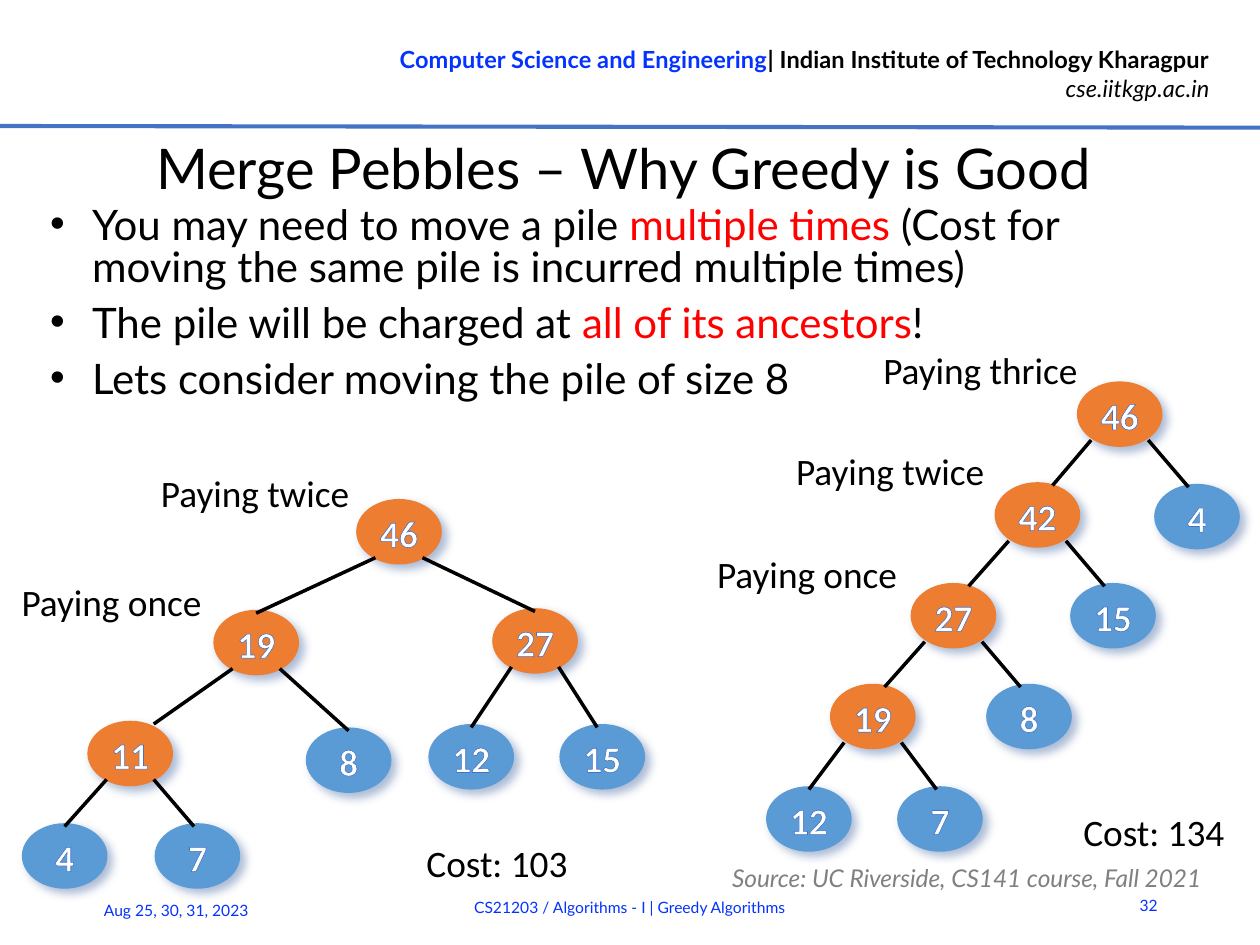
from lxml import etree
from pptx import Presentation
from pptx.dml.color import RGBColor
from pptx.enum.shapes import MSO_CONNECTOR, MSO_SHAPE
from pptx.enum.text import MSO_ANCHOR, PP_ALIGN
from pptx.oxml.ns import qn
from pptx.util import Inches, Pt

LEFT, CENTER, RIGHT = PP_ALIGN.LEFT, PP_ALIGN.CENTER, PP_ALIGN.RIGHT
TOP, MIDDLE = MSO_ANCHOR.TOP, MSO_ANCHOR.MIDDLE
OVAL, STRAIGHT = MSO_SHAPE.OVAL, MSO_CONNECTOR.STRAIGHT

BLACK, WHITE, RED, GRAY = "000000", "FFFFFF", "FF0000", "808080"
HEADER_BLUE, RULE_BLUE, SHADOW_BLUE = "0432FF", "4472C4", "2F5597"
MERGED, PILE = "ED7D31", "5B9BD5"

HEADER = [
    [("Computer Science and Engineering", HEADER_BLUE, "b"),
     ("| Indian Institute of Technology Kharagpur", BLACK, "b")],
    [("cse.iitkgp.ac.in", BLACK, "i")],
]
TITLE = [[("Merge Pebbles – Why Greedy is Good", BLACK, "")]]
BULLETS = [
    [("You may need to move a pile ", BLACK, ""), ("multiple times", RED, ""),
     (" (Cost for moving the same pile is incurred multiple times)", BLACK, "")],
    [("The pile will be charged at ", BLACK, ""), ("all of its ancestors", RED, ""),
     ("!", BLACK, "")],
    [("Lets consider moving the pile of size 8", BLACK, "")],
]
SOURCE = [[("Source: UC Riverside, CS141 course, Fall 2021", GRAY, "i")]]
DATE = [[("Aug 25, 30, 31, 2023", HEADER_BLUE, "")]]
COURSE = [[("CS21203 / Algorithms - I | Greedy Algorithms", HEADER_BLUE, "")]]
PAGE = [[("32", HEADER_BLUE, "")]]
HEADER_SIZE, FOOTER_SIZE = 10.13, 6.75

CAPTIONS = [
    ("Cost: 103", 2.44, 4.95, 1.05),
    ("Cost: 134", 6.35, 4.77, 1.05),
    ("Paying once", 0.03, 3.4, 1.29),
    ("Paying twice", 0.86, 2.75, 1.34),
    ("Paying once", 4.17, 3.23, 1.29),
    ("Paying twice", 4.64, 2.62, 1.34),
    ("Paying thrice", 5.16, 2.02, 1.37),
]

# (size, left, top, shift of the incoming edge, children)
GREEDY_TREE = ("46", 2.12, 2.97, 0, [
    ("19", 1.27, 3.63, 0, [
        ("11", 0.52, 4.29, 0.14, [("4", 0.13, 4.9, 0, []), ("7", 0.92, 4.9, -0.02, [])]),
        ("8", 1.82, 4.33, 0, [])]),
    ("27", 2.93, 3.62, 0, [("12", 2.55, 4.31, 0, []), ("15", 3.33, 4.31, -0.03, [])]),
])
CHAIN_TREE = ("46", 6.41, 2.27, 0, [
    ("42", 5.92, 2.87, 0.09, [
        ("27", 5.42, 3.47, 0.09, [
            ("19", 4.94, 4.07, 0.07, [("12", 4.56, 4.68, 0, []), ("7", 5.34, 4.68, -0.02, [])]),
            ("8", 5.87, 4.07, -0.05, [])]),
        ("15", 6.37, 3.47, -0.05, [])]),
    ("4", 6.87, 2.88, -0.05, []),
])
NODE_W, NODE_H = 0.51, 0.39
GREEDY_SPREAD, CHAIN_SPREAD = 0.14, 0.17
EDGE_DROP, EDGE_OVERLAP = 0.35, 0.02

prs = Presentation()
prs.slide_width = Inches(7.5)
prs.slide_height = prs.slide_width * 3 // 4
slide = prs.slides.add_slide(prs.slide_layouts[6])


def color(hex_code):
    return RGBColor.from_string(hex_code)


def add_element(parent, tag, **attributes):
    return etree.SubElement(parent, qn(tag), attributes)


def add_text(content, at, size, font="Lato", align=LEFT, anchor=TOP, wrap=True,
             insets=(0.1, 0.05), bullets=False, line_pt=None):
    frame = slide.shapes.add_textbox(*map(Inches, at)).text_frame
    frame.word_wrap, frame.vertical_anchor = wrap, anchor
    frame.margin_left = frame.margin_right = Inches(insets[0])
    frame.margin_top = frame.margin_bottom = Inches(insets[1])
    for index, line in enumerate(content):
        paragraph = frame.add_paragraph() if index else frame.paragraphs[0]
        paragraph.alignment = align
        if line_pt:
            paragraph.line_spacing = Pt(line_pt)
            paragraph.space_before = Pt(3 if index else 0)
            paragraph.space_after = Pt(3)
        if bullets:
            properties = paragraph._p.get_or_add_pPr()
            properties.set("marL", str(Inches(0.25)))
            properties.set("indent", str(-Inches(0.25)))
            add_element(properties, "a:buFont", typeface="Arial")
            add_element(properties, "a:buChar", char="•")
        for words, ink, style in line:
            run = paragraph.add_run()
            run.text = words
            run.font.name, run.font.size = font, Pt(size)
            run.font.bold, run.font.italic = style == "b", style == "i"
            run.font.color.rgb = color(ink)


def add_line(x1, y1, x2, y2, ink, width):
    line = slide.shapes.add_connector(STRAIGHT, *map(Inches, (x1, y1, x2, y2)))
    line.line.color.rgb, line.line.width = color(ink), Pt(width)
    add_element(line._element.spPr, "a:effectLst")


def add_node(size, left, top, fill):
    node = slide.shapes.add_shape(OVAL, *map(Inches, (left, top, NODE_W, NODE_H)))
    node.fill.solid()
    node.fill.fore_color.rgb = color(fill)
    node.line.fill.background()
    node.shadow.inherit = False
    effects = node._element.spPr.find(qn("a:effectLst"))
    shadow = add_element(effects, "a:outerShdw", blurRad=str(Pt(4)), dist=str(Pt(3)),
                         dir="2700000", algn="tl", rotWithShape="0")
    add_element(add_element(shadow, "a:srgbClr", val=SHADOW_BLUE), "a:alpha", val="40000")
    frame = node.text_frame
    frame.text = size
    frame.word_wrap, frame.vertical_anchor = False, MIDDLE
    frame.margin_left = frame.margin_right = frame.margin_bottom = 0
    frame.margin_top = Inches(0.01)
    frame.paragraphs[0].alignment = CENTER
    run = frame.paragraphs[0].runs[0]
    run.font.name, run.font.size, run.font.bold = "Calibri", Pt(16), True
    run.font.color.rgb = color(WHITE)
    properties = run._r.get_or_add_rPr()
    outline = add_element(properties, "a:ln", w=str(Pt(0.8)))
    add_element(add_element(outline, "a:solidFill"), "a:srgbClr", val=RULE_BLUE)
    properties.insert(0, outline)


def add_tree(tree, spread):
    size, left, top, _, children = tree
    for child in children:
        add_tree(child, spread)
    add_node(size, left, top, MERGED if children else PILE)
    for side, (_, child_left, child_top, shift, _) in zip((-1, 1), children):
        add_line(left + NODE_W / 2 + side * spread, top + EDGE_DROP,
                 child_left + NODE_W / 2 + shift, child_top + EDGE_OVERLAP, BLACK, 1.5)


add_text(HEADER, (1.91, 0.22, 5.39, 0.44), HEADER_SIZE, align=RIGHT, wrap=False)
add_line(0, 0.75, 7.5, 0.76, RULE_BLUE, 1.75)
add_text(PAGE, (6.62, 5.24, 0.37, 0.3), FOOTER_SIZE, align=RIGHT, anchor=MIDDLE)
add_text(TITLE, (0.24, 0.79, 6.94, 0.41), 24, align=CENTER, anchor=MIDDLE, insets=(0, 0.01))
add_text(DATE, (0.52, 5.33, 1.31, 0.3), FOOTER_SIZE, insets=(0.1, 0.03))
add_text(COURSE, (1.24, 5.25, 5.02, 0.3), FOOTER_SIZE, align=CENTER, anchor=MIDDLE)
add_text(BULLETS, (0.2, 1.18, 7.03, 4.05), 18, bullets=True, line_pt=18)
add_text(SOURCE, (4.26, 5.09, 3.18, 0.2), 10.5, anchor=MIDDLE, line_pt=18)
add_tree(GREEDY_TREE, GREEDY_SPREAD)
add_tree(CHAIN_TREE, CHAIN_SPREAD)
for caption, left, top, width in CAPTIONS:
    add_text([[(caption, BLACK, "")]], (left, top, width, 0.37), 16, "Calibri", wrap=False)

prs.save("out.pptx")
